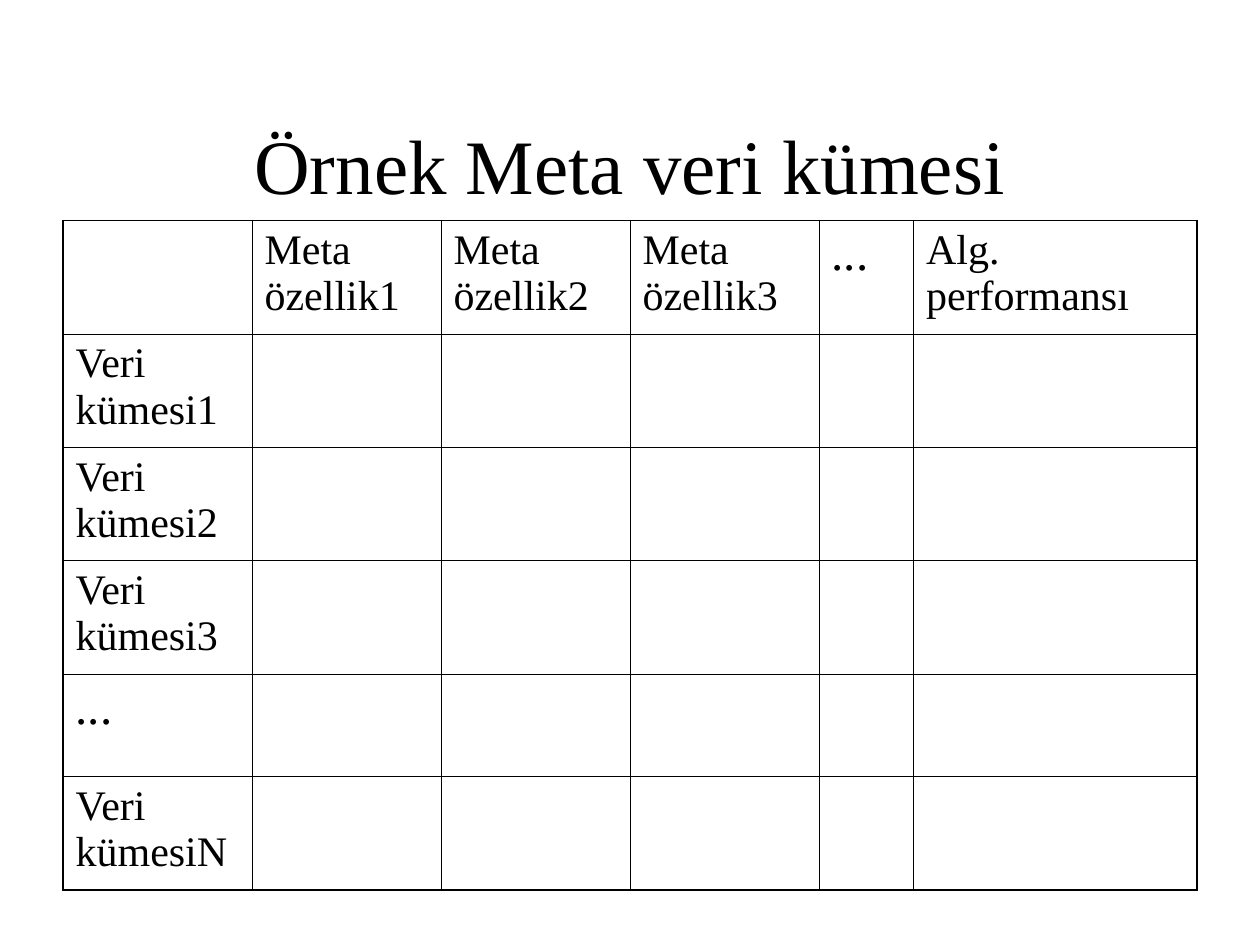
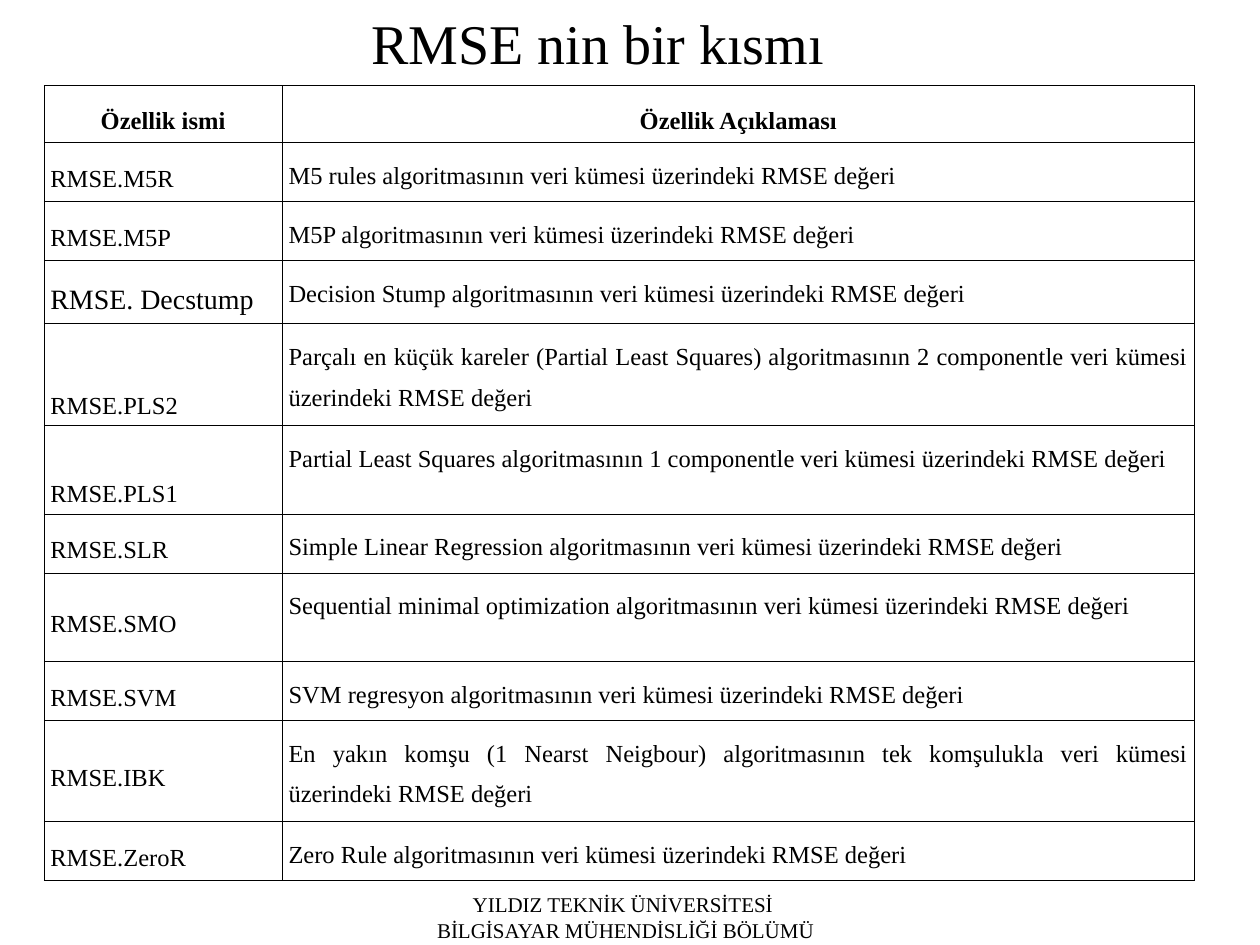
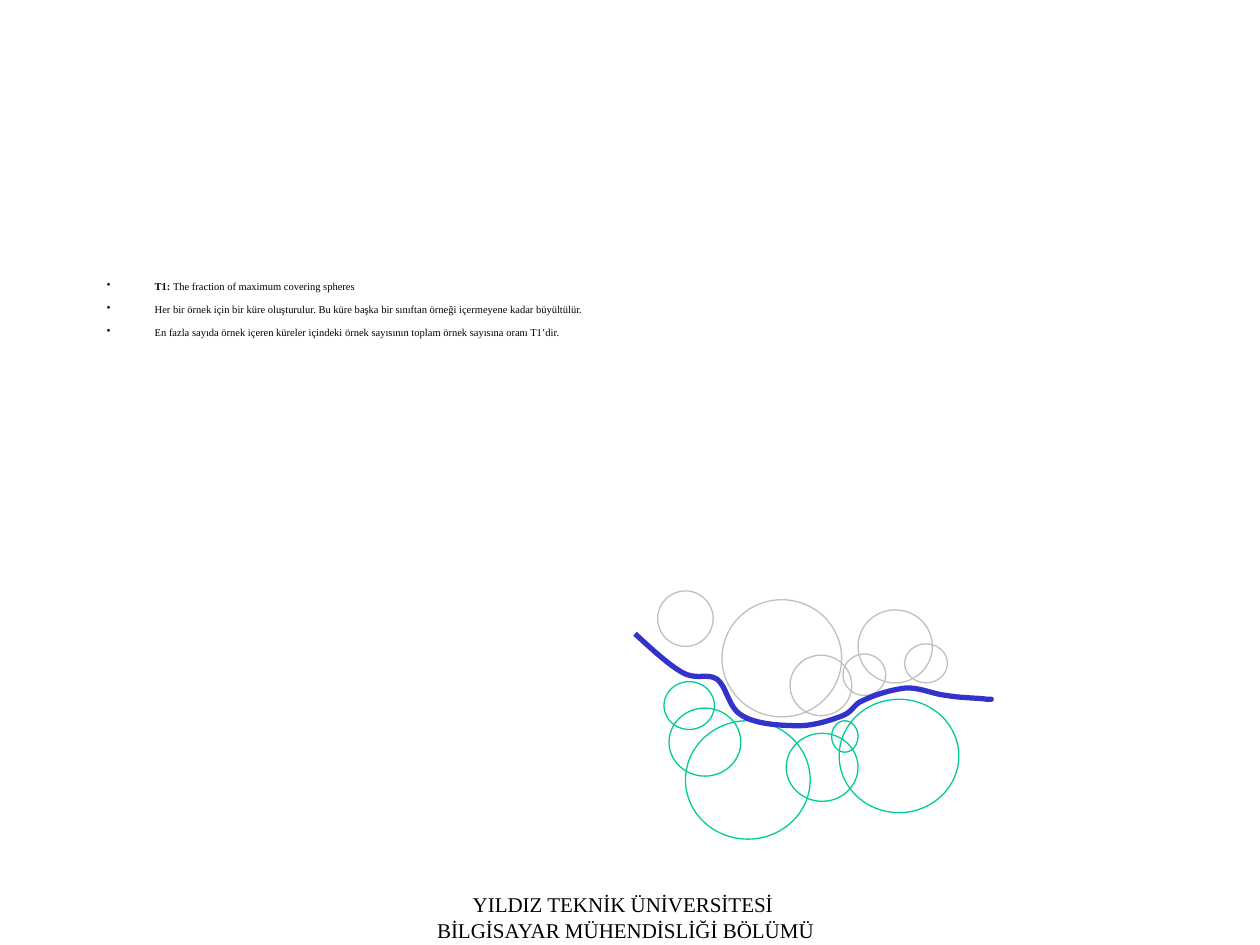
from dataclasses import dataclass

from lxml.etree import SubElement
from pptx import Presentation
from pptx.dml.color import RGBColor
from pptx.enum.shapes import MSO_SHAPE
from pptx.enum.text import MSO_ANCHOR, PP_ALIGN
from pptx.oxml import parse_xml
from pptx.oxml.ns import nsdecls, qn
from pptx.util import Inches, Pt

FONT = "Times New Roman"
COLORS = {
    "ink": "000000",
    "upper_class": "BFBFBF",
    "lower_class": "00CC99",
    "boundary": "3333CC",
}
THIN, THICK = 0.45, 1.08
FOOTER = "YILDIZ TEKNİK ÜNİVERSİTESİ \nBİLGİSAYAR MÜHENDİSLİĞİ BÖLÜMÜ"


@dataclass
class Box:
    left: float
    top: float
    width: float
    height: float

    def emu(self) -> list:
        return [Inches(v) for v in (self.left, self.top, self.width, self.height)]


@dataclass
class Sphere:
    box: Box
    color: str


@dataclass
class Feature:
    name: str
    description: str
    height: float = 0.47
    size: float = 14
    anchor: MSO_ANCHOR = MSO_ANCHOR.MIDDLE


FEATURES = [
    Feature("RMSE.M5R", "M5 rules algoritmasının veri kümesi üzerindeki RMSE değeri"),
    Feature("RMSE.M5P", "M5P algoritmasının veri kümesi üzerindeki RMSE değeri"),
    Feature("RMSE. Decstump",
            "Decision Stump algoritmasının veri kümesi üzerindeki RMSE değeri",
            height=0.5, size=16),
    Feature("RMSE.PLS2",
            "Parçalı en küçük kareler (Partial Least Squares) algoritmasının "
            "2 componentle veri kümesi üzerindeki RMSE değeri",
            height=0.81, anchor=MSO_ANCHOR.BOTTOM),
    Feature("RMSE.PLS1",
            "Partial Least Squares algoritmasının 1 componentle veri kümesi "
            "üzerindeki RMSE değeri",
            height=0.7, anchor=MSO_ANCHOR.BOTTOM),
    Feature("RMSE.SLR",
            "Simple Linear Regression algoritmasının veri kümesi üzerindeki RMSE değeri"),
    Feature("RMSE.SMO",
            "Sequential minimal optimization algoritmasının veri kümesi "
            "üzerindeki RMSE değeri",
            height=0.7),
    Feature("RMSE.SVM", "SVM regresyon algoritmasının veri kümesi üzerindeki RMSE değeri"),
    Feature("RMSE.IBK",
            "En yakın komşu (1 Nearst Neigbour) algoritmasının tek komşulukla "
            "veri kümesi üzerindeki RMSE değeri",
            height=0.8),
    Feature("RMSE.ZeroR", "Zero Rule algoritmasının veri kümesi üzerindeki RMSE değeri"),
]

SPHERES = [
    Sphere(Box(5.22, 4.69, 0.44, 0.44), "upper_class"),
    Sphere(Box(5.31, 5.62, 0.57, 0.54), "lower_class"),
    Sphere(Box(6.24, 5.82, 0.57, 0.54), "lower_class"),
    Sphere(Box(5.44, 5.72, 0.99, 0.94), "lower_class"),
    Sphere(Box(5.27, 5.41, 0.4, 0.38), "lower_class"),
    Sphere(Box(6.66, 5.55, 0.95, 0.9), "lower_class"),
    Sphere(Box(6.6, 5.72, 0.21, 0.25), "lower_class"),
    Sphere(Box(5.73, 4.76, 0.95, 0.93), "upper_class"),
    Sphere(Box(6.27, 5.2, 0.49, 0.48), "upper_class"),
    Sphere(Box(6.81, 4.84, 0.59, 0.58), "upper_class"),
    Sphere(Box(6.69, 5.19, 0.34, 0.33), "upper_class"),
    Sphere(Box(7.18, 5.11, 0.34, 0.31), "upper_class"),
]

# Start point, then two control points and an end point per curve segment
BOUNDARY = [
    (5.04, 5.03),
    (5.17, 5.15), (5.31, 5.28), (5.42, 5.34),
    (5.53, 5.4), (5.61, 5.34), (5.69, 5.39),
    (5.77, 5.45), (5.78, 5.62), (5.89, 5.68),
    (6, 5.75), (6.21, 5.76), (6.34, 5.76),
    (6.47, 5.76), (6.61, 5.71), (6.69, 5.68),
    (6.78, 5.64), (6.77, 5.59), (6.85, 5.56),
    (6.93, 5.52), (7.08, 5.47), (7.2, 5.46),
    (7.31, 5.46), (7.41, 5.51), (7.51, 5.52),
    (7.62, 5.54), (7.77, 5.54), (7.83, 5.55),
    (7.88, 5.55), (7.87, 5.55), (7.86, 5.55),
]


def rgb(color: str) -> RGBColor:
    return RGBColor.from_string(COLORS[color])


def add_bullet(paragraph, indent: float) -> None:
    properties = paragraph._p.get_or_add_pPr()
    properties.set("marL", str(Inches(indent)))
    properties.set("indent", str(-Inches(indent)))
    SubElement(properties, qn("a:buChar")).set("char", "•")


def write_text(frame, text: str, *, size: float, align=PP_ALIGN.LEFT, bold=False,
               lead="", gap=0, after=0, line_spacing=None, bullet_indent=0) -> None:
    """Write one paragraph per line of text; lead is a bold opening of the first."""
    for index, line in enumerate(text.split("\n")):
        paragraph = frame.add_paragraph() if index else frame.paragraphs[0]
        if bullet_indent:
            add_bullet(paragraph, bullet_indent)
        paragraph.alignment = align
        paragraph.space_before = Pt(gap if index else 0)
        paragraph.space_after = Pt(after)
        if line_spacing:
            paragraph.line_spacing = line_spacing
        parts = [(line, bold)]
        if lead and index == 0:
            parts.insert(0, (lead, True))
        for part, part_bold in parts:
            run = paragraph.add_run()
            run.text = part
            run.font.name = FONT
            run.font.size = Pt(size)
            run.font.bold = part_bold
            run.font.color.rgb = rgb("ink")


def add_text(slide, box: Box, text: str, anchor=MSO_ANCHOR.TOP, **text_format) -> None:
    frame = slide.shapes.add_textbox(*box.emu()).text_frame
    frame.word_wrap = True
    frame.vertical_anchor = anchor
    write_text(frame, text, **text_format)


def add_title(slide, box: Box, text: str, size: float) -> None:
    add_text(slide, box, text, MSO_ANCHOR.MIDDLE, size=size, align=PP_ALIGN.CENTER)


def add_footer(slide) -> None:
    add_text(slide, Box(2.64, 7.03, 4.65, 0.5), FOOTER, size=12, align=PP_ALIGN.CENTER)


def set_borders(cell, widths: dict[str, float]) -> None:
    properties = cell._tc.get_or_add_tcPr()
    for index, side in enumerate("LRTB"):
        properties.insert(index, parse_xml(
            f'<a:ln{side} {nsdecls("a")} w="{Pt(widths[side])}"><a:solidFill>'
            f'<a:srgbClr val="{COLORS["ink"]}"/></a:solidFill></a:ln{side}>'))


def add_grid(slide, left: float, top: float, columns: list[float],
             rows: list[float], outline: float, margin: float):
    """Add an unfilled table with thin inner lines and an outline of its own width."""
    box = Box(left, top, sum(columns), sum(rows))
    grid = slide.shapes.add_table(len(rows), len(columns), *box.emu()).table
    grid.first_row = grid.horz_banding = False
    for column, width in zip(grid.columns, columns):
        column.width = Inches(width)
    for r, height in enumerate(rows):
        grid.rows[r].height = Inches(height)
        for c in range(len(columns)):
            cell = grid.cell(r, c)
            cell.margin_left = cell.margin_right = Inches(margin)
            cell.margin_top = cell.margin_bottom = Inches(0.05)
            cell.fill.background()
            set_borders(cell, {
                "L": THIN if c else outline,
                "R": THIN if c < len(columns) - 1 else outline,
                "T": THIN if r else outline,
                "B": THIN if r < len(rows) - 1 else outline,
            })
    return grid


def style_outline(shape, color: str, width: float) -> None:
    shape.shadow.inherit = False
    shape.fill.background()
    shape.line.color.rgb = rgb(color)
    shape.line.width = Pt(width)


def add_curve(shapes, points: list[tuple[float, float]], color: str, width: float) -> None:
    corners = [(Inches(x), Inches(y)) for x, y in points]
    builder = shapes.build_freeform(*corners[0])
    builder.add_line_segments(corners[1:], close=False)
    curve = builder.convert_to_shape()
    style_outline(curve, color, width)
    outline = next(curve._element.iter(qn("a:path")))
    segments = outline.findall(qn("a:lnTo"))
    for start in range(0, len(segments), 3):
        bezier = SubElement(outline, qn("a:cubicBezTo"))
        for segment in segments[start:start + 3]:
            bezier.append(segment[0])
            outline.remove(segment)


def build_meta_dataset(slide) -> None:
    add_title(slide, Box(0.75, 0.67, 8.5, 1.25), "Örnek Meta veri kümesi", 44)
    meta_features = [f"Meta özellik{n}" for n in (1, 2, 3)] + ["...", "Alg. performansı"]
    datasets = [f"Veri kümesi{n}" for n in (1, 2, 3)] + ["...", "Veri kümesiN"]
    grid = add_grid(slide, 0.5, 1.75, [1.5] * 4 + [0.75, 2.25],
                    [0.9] * 4 + [0.81, 0.9], THICK, 0.1)
    labels = [(0, c, text) for c, text in enumerate(meta_features, 1)]
    labels += [(r, 0, text) for r, text in enumerate(datasets, 1)]
    for r, c, text in labels:
        write_text(grid.cell(r, c).text_frame, text, size=28 if text == "..." else 24)


def build_rmse_features(slide) -> None:
    grid = add_grid(slide, 0.35, 0.68, [1.89, 7.24],
                    [0.45] + [feature.height for feature in FEATURES], THIN, 0.05)
    spacing = {"line_spacing": 1.5, "after": 6}
    for c, heading in enumerate(("Özellik ismi", "Özellik Açıklaması")):
        cell = grid.cell(0, c)
        cell.vertical_anchor = MSO_ANCHOR.MIDDLE
        write_text(cell.text_frame, heading, size=14, bold=True,
                   align=PP_ALIGN.CENTER, **spacing)
    for r, feature in enumerate(FEATURES, 1):
        name, description = grid.cell(r, 0), grid.cell(r, 1)
        name.vertical_anchor = feature.anchor
        write_text(name.text_frame, feature.name, size=feature.size,
                   align=PP_ALIGN.JUSTIFY, **spacing)
        write_text(description.text_frame, feature.description, size=14,
                   align=PP_ALIGN.JUSTIFY, **spacing)
    add_footer(slide)
    add_title(slide, Box(1.06, 0.16, 7.37, 0.35), "RMSE nin bir kısmı", 32)


def build_covering_spheres(slide) -> None:
    add_text(slide, Box(0.75, 2.17, 8.5, 0.56),
             "The fraction of maximum covering spheres\n"
             "Her bir örnek için bir küre oluşturulur. Bu küre başka bir sınıftan "
             "örneği içermeyene kadar büyültülür.\n"
             "En fazla sayıda örnek içeren küreler içindeki örnek sayısının toplam "
             "örnek sayısına oranı T1’dir.",
             size=6, lead="T1: ", gap=6, bullet_indent=0.38)
    add_footer(slide)
    diagram = slide.shapes.add_group_shape().shapes
    for sphere in SPHERES:
        circle = diagram.add_shape(MSO_SHAPE.OVAL, *sphere.box.emu())
        style_outline(circle, sphere.color, 0.75)
    add_curve(diagram, BOUNDARY, "boundary", 3)


def main() -> None:
    deck = Presentation()
    deck.slide_width, deck.slide_height = Inches(10), Inches(7.5)
    blank = deck.slide_layouts[6]
    for build in (build_meta_dataset, build_rmse_features, build_covering_spheres):
        build(deck.slides.add_slide(blank))
    deck.save("out.pptx")


if __name__ == "__main__":
    main()
